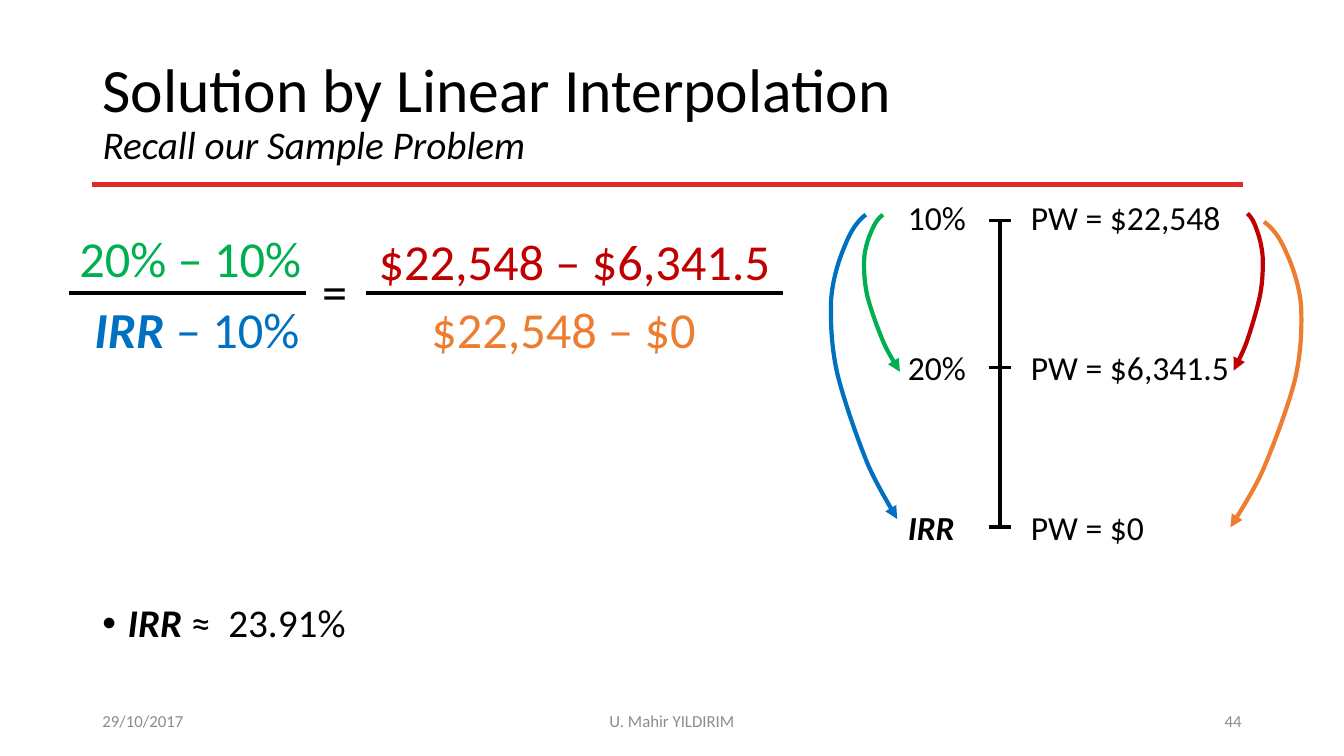
import pptx
import pptx.dml.color
import pptx.enum.shapes
import pptx.enum.text
import pptx.oxml
import pptx.oxml.ns
import pptx.util

Cm = pptx.util.Cm
RGBColor = pptx.dml.color.RGBColor
ALIGN = pptx.enum.text.PP_ALIGN
ANCHOR = pptx.enum.text.MSO_ANCHOR
AUTO_SIZE = pptx.enum.text.MSO_AUTO_SIZE
qn = pptx.oxml.ns.qn

BLACK = RGBColor(0x00, 0x00, 0x00)
GRAY = RGBColor(0x8C, 0x8C, 0x8C)
RULE_RED = RGBColor(0xE1, 0x29, 0x27)
DARK_RED = RGBColor(0xC0, 0x00, 0x00)
ORANGE = RGBColor(0xED, 0x7D, 0x31)
GREEN = RGBColor(0x00, 0xB0, 0x50)
BLUE = RGBColor(0x00, 0x70, 0xC0)

PLAIN = {"bold": False, "italic": False}
ITALIC = {"bold": False, "italic": True}
STRONG = {"bold": True, "italic": True}

# Bezier points of an arrow bulging right, as shares of its width and height
ARROW_PROFILE = [
    (0.47, 0), (0.59, 0.02), (0.69, 0.05), (0.78, 0.1),
    (0.86, 0.14), (0.97, 0.21), (0.99, 0.28),
    (1, 0.35), (0.99, 0.43), (0.9, 0.52),
    (0.8, 0.61), (0.59, 0.74), (0.44, 0.82),
    (0.34, 0.87), (0.16, 0.94), (0, 1),
]


def add_run(paragraph, text, size, color=BLACK, style=PLAIN):
    run = paragraph.add_run()
    run.text = text
    font_format = {"name": "Calibri", "size": pptx.util.Pt(size), **style}
    for name, value in font_format.items():
        setattr(run.font, name, value)
    run.font.color.rgb = color


def add_text(slide, box, runs, size, color=BLACK, align=ALIGN.LEFT, **frame_format):
    shape = slide.shapes.add_textbox(*map(Cm, box))
    frame = shape.text_frame
    frame_format = {"word_wrap": False, "auto_size": AUTO_SIZE.SHAPE_TO_FIT_TEXT,
                    **frame_format}
    for name, value in frame_format.items():
        setattr(frame, name, value)
    paragraph = frame.paragraphs[0]
    paragraph.alignment = align
    for text, style in runs:
        add_run(paragraph, text, size, color, style)
    return paragraph


def add_line(slide, start, end, width, color=BLACK):
    line = slide.shapes.add_connector(
        pptx.enum.shapes.MSO_CONNECTOR.STRAIGHT, *map(Cm, (*start, *end)))
    line.line.color.rgb = color
    line.line.width = pptx.util.Pt(width)
    pptx.oxml.ns.qn("a:effectLst")
    line._element.spPr.append(pptx.oxml.parse_xml(
        f"<a:effectLst {pptx.oxml.ns.nsdecls('a')}/>"))


def add_curved_arrow(slide, box, color, bulges_left):
    left, top, width, height = box
    points = [(Cm(left + width * (1 - u if bulges_left else u)), Cm(top + height * v))
              for u, v in ARROW_PROFILE]
    builder = slide.shapes.build_freeform(*points[0])
    builder.add_line_segments(points[1:], close=False)
    shape = builder.convert_to_shape()
    shape.shadow.inherit = False
    shape.fill.background()
    shape.line.color.rgb = color
    shape.line.width = pptx.util.Pt(3)

    # Every three straight segments become one Bezier curve
    segments = list(shape._element.iter(qn("a:lnTo")))
    for first in range(0, len(segments), 3):
        curve = pptx.oxml.parse_xml(
            f"<a:cubicBezTo {pptx.oxml.ns.nsdecls('a')}/>")
        segments[first].addprevious(curve)
        for segment in segments[first:first + 3]:
            curve.append(segment[0])
            segment.getparent().remove(segment)
    shape.line._get_or_add_ln().append(pptx.oxml.parse_xml(
        f"<a:tailEnd {pptx.oxml.ns.nsdecls('a')} type='triangle'/>"))


def add_heading(slide, left, top, width, height):
    title = slide.shapes.title
    title_format = {"left": left, "top": top, "width": width, "height": height}
    for name, value in title_format.items():
        setattr(title, name, Cm(value))
    frame = title.text_frame
    frame.word_wrap = True
    frame.auto_size = AUTO_SIZE.NONE
    frame.vertical_anchor = ANCHOR.MIDDLE
    paragraph = frame.paragraphs[0]
    paragraph.alignment = ALIGN.LEFT
    paragraph.line_spacing = 0.9
    add_run(paragraph, "Solution by Linear Interpolation", 44)
    paragraph.add_line_break()
    add_run(paragraph, "Recall our Sample Problem", 28, style=ITALIC)
    rule_y = top + height - 0.05
    add_line(slide, (left, rule_y), (left + 29, rule_y), 3, RULE_RED)


def add_equation(slide, left, top):
    bar_y = top + 1.8
    # Bars of the two fractions
    for start, end in ((0, 5.97), (7.47, 17.99)):
        add_line(slide, (left + start, bar_y), (left + end, bar_y), 3)
    # Terms: offset, width, runs and color
    terms = [
        (0, 0, 6.17, [("20% – 10%", PLAIN)], GREEN),
        (0.38, 1.8, 5.74, [("IRR", STRONG), (" – 10%", PLAIN)], BLUE),
        (6.12, 0.84, 1.14, [("=", PLAIN)], BLACK),
        (7.54, 0.08, 10.49, [("$22,548 – $6,341.5", PLAIN)], DARK_RED),
        (8.87, 1.8, 7.24, [("$22,548 – $0", PLAIN)], ORANGE),
    ]
    for x, y, width, runs, color in terms:
        add_text(slide, (left + x, top + y, width, 1.8), runs, 36, color)


def add_scale(slide, left, top):
    axis_x = left + 4.27
    # Rows: tick, label top, rate, style, present worth and its width
    rows = [
        (0.73, 0, "10%", PLAIN, "PW = $22,548", 5.33),
        (4.44, 3.78, "20%", PLAIN, "PW = $6,341.5", 5.54),
        (8.45, 7.82, "IRR", STRONG, "PW = $0", 3.38),
    ]
    add_line(slide, (axis_x, top + rows[0][0]), (axis_x, top + rows[-1][0]), 2.25)
    for tick, label_top, rate, style, worth, worth_width in rows:
        add_line(slide, (axis_x - 0.28, top + tick), (axis_x + 0.28, top + tick), 2.25)
        # The rate boxes share a width, so a fixed left edge keeps them aligned
        add_text(slide, (left + 1.7, top + label_top, 1.98, 1.27), [(rate, style)], 24,
                 word_wrap=rate == "IRR")
        add_text(slide, (left + 4.8, top + label_top, worth_width, 1.27),
                 [(worth, PLAIN)], 24)
    # Arrows spanning the differences
    arrows = [
        (10.16, 0.55, 0.74, 3.96, DARK_RED, False),
        (10.08, 0.76, 1.8, 7.7, ORANGE, False),
        (0.84, 0.58, 0.91, 3.96, GREEN, True),
        (0, 0.58, 1.68, 7.67, BLUE, True),
    ]
    for x, y, width, height, color, bulges_left in arrows:
        add_curved_arrow(slide, (left + x, top + y, width, height), color, bulges_left)


def add_result(slide, *box):
    paragraph = add_text(slide, box, [("IRR ", STRONG), ("≈  23.91%", PLAIN)], 28,
                         word_wrap=True, auto_size=AUTO_SIZE.NONE)
    paragraph.line_spacing = 0.9
    properties = paragraph._p.get_or_add_pPr()
    properties.set("marL", str(Cm(0.64)))
    properties.set("indent", str(-Cm(0.64)))
    for tag, name, value in (("buFont", "typeface", "Arial"), ("buChar", "char", "•")):
        properties.append(pptx.oxml.parse_xml(
            f"<a:{tag} {pptx.oxml.ns.nsdecls('a')} {name}='{value}'/>"))


def add_footer(slide, left, top, width, height):
    center_width, side_width = 11.43, 7.62
    parts = [
        (left, side_width, "29/10/2017", ALIGN.LEFT),
        (left + (width - center_width) / 2, center_width, "U. Mahir YILDIRIM",
         ALIGN.CENTER),
        (left + width - side_width, side_width, "44", ALIGN.RIGHT),
    ]
    for x, part_width, text, align in parts:
        add_text(slide, (x, top, part_width, height), [(text, PLAIN)], 12, GRAY, align,
                 word_wrap=True, auto_size=AUTO_SIZE.NONE, vertical_anchor=ANCHOR.MIDDLE)


def main():
    presentation = pptx.Presentation()
    presentation.slide_width = Cm(33.87)
    presentation.slide_height = Cm(19.05)
    slide = presentation.slides.add_slide(presentation.slide_layouts[5])
    add_heading(slide, 2.33, 1.02, 29.21, 3.68)
    add_equation(slide, 1.75, 5.59)
    add_scale(slide, 20.93, 4.83)
    add_result(slide, 2.33, 15.09, 12.4, 2.08)
    add_footer(slide, 2.33, 17.65, 29.21, 1.02)
    presentation.save("out.pptx")


if __name__ == "__main__":
    main()
